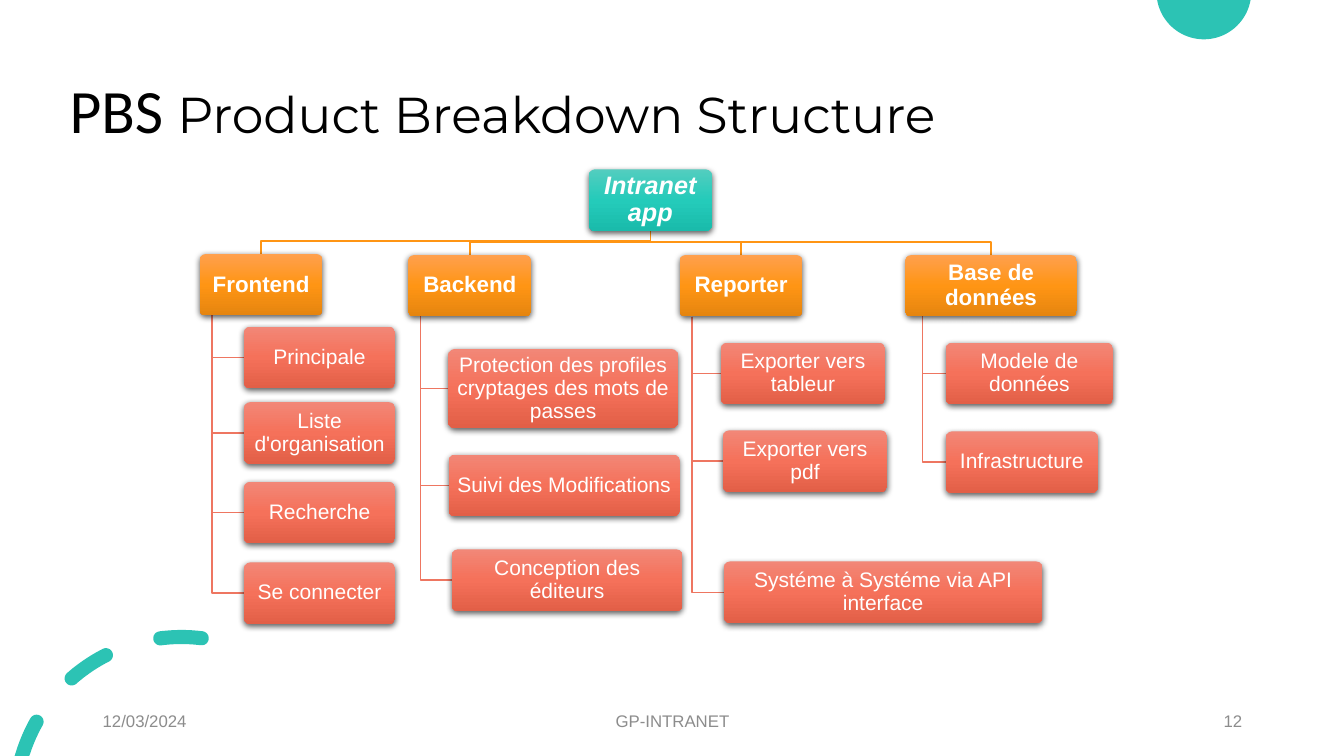
import math

import pptx
import pptx.util
import pptx.dml.color
import pptx.enum.shapes
import pptx.enum.text
import pptx.oxml
import pptx.oxml.ns
from pptx.util import Inches

TEAL, ORANGE, CORAL = "2CC3B4", "FF9514", "EE7661"
ALIGN = pptx.enum.text.PP_ALIGN
MIDDLE = pptx.enum.text.MSO_ANCHOR.MIDDLE
ROOT_STYLE = {"stops": ("53CDBF", "24CBBA", "1ABBAB"),
              "font": {"size": pptx.util.Pt(18), "bold": True, "italic": True}}
BRANCH_STYLE = {"stops": ("FFA04E", "FF9514", "E5850F"),
                "font": {"size": pptx.util.Pt(16), "bold": True}}
LEAF_STYLE = {"stops": ("F28777", "F5715A", "E25F47"),
              "font": {"size": pptx.util.Pt(15)}}

presentation = pptx.Presentation()
presentation.slide_width = Inches(13.33)
presentation.slide_height = Inches(7.5)
slide = presentation.slides.add_slide(presentation.slide_layouts[5])


def color(hex_string):
    return pptx.dml.color.RGBColor.from_string(hex_string)


def draw_path(points, hex_string, closed):
    """Draw a filled outline when closed, otherwise a thin open line."""
    corners = [(Inches(x), Inches(y)) for x, y in points]
    builder = slide.shapes.build_freeform(*corners[0])
    builder.add_line_segments(corners[1:], close=closed)
    shape = builder.convert_to_shape()
    shape.shadow.inherit = False
    if closed:
        shape.fill.solid()
        shape.fill.fore_color.rgb = color(hex_string)
        shape.line.fill.background()
    else:
        shape.fill.background()
        shape.line.color.rgb = color(hex_string)
        shape.line.width = pptx.util.Pt(1)


# Circle cut off by the top edge
circle = []
for step in range(41):
    angle = math.radians(9.8 + 160.4 * step / 40)
    circle.append((11.94 + 0.47 * math.cos(angle), -0.08 + 0.47 * math.sin(angle)))
draw_path(circle, TEAL, True)

# Dashes with round ends along one arc, cut off by the bottom edge
center_x, center_y, radius, half_width = 1.8, 7.97, 1.65, 0.07
for start, end in ((83, 97.3), (117, 131.3), (150.6, 164.1)):
    dash = []
    for first, last, side in ((start, end, 1), (end, start, -1)):
        for step in range(13):
            angle = math.radians(first + (last - first) * step / 12)
            distance = radius + side * half_width
            dash.append((center_x + distance * math.cos(angle),
                         center_y - distance * math.sin(angle)))
        tip = math.radians(last)
        for step in range(1, 12):
            turn = tip + side * math.pi * step / 12 + (0 if side == 1 else math.pi)
            if side == -1:
                turn = tip + math.pi + math.pi * step / 12
            dash.append((center_x + radius * math.cos(tip) + half_width * math.cos(turn),
                         center_y - radius * math.sin(tip) - half_width * math.sin(turn)))
    draw_path([(x, min(y, 7.5)) for x, y in dash], TEAL, True)

# Title
title = slide.shapes.title
title.left, title.top, title.width, title.height = map(Inches, (0.59, 0.4, 11.5, 1.45))
title.text_frame.word_wrap = True
title.text_frame.vertical_anchor = MIDDLE
paragraph = title.text_frame.paragraphs[0]
paragraph.alignment = ALIGN.LEFT
paragraph.line_spacing = 0.9
for text, size, name in (("PBS ", 44, "Calibri"),
                         ("Product Breakdown Structure", 36, "Montserrat")):
    run = paragraph.add_run()
    run.text = text
    run.font.name = name
    run.font.size = pptx.util.Pt(size)
    run.font.color.rgb = color("000000")

# Footer
for text, left, width, alignment in (("12/03/2024", 0.92, 3, ALIGN.LEFT),
                                     ("GP-INTRANET", 4.42, 4.5, ALIGN.CENTER),
                                     ("12", 9.42, 3, ALIGN.RIGHT)):
    footer = slide.shapes.add_textbox(Inches(left), Inches(6.95), Inches(width), Inches(0.4))
    footer.text_frame.word_wrap = True
    footer.text_frame.vertical_anchor = MIDDLE
    paragraph = footer.text_frame.paragraphs[0]
    paragraph.text = text
    paragraph.alignment = alignment
    paragraph.font.name = "Arial"
    paragraph.font.size = pptx.util.Pt(12)
    paragraph.font.color.rgb = color("8C8C8C")

# Tree: each box is text, left, top, width, height
root = ("Intranet app", 5.84, 1.68, 1.22, 0.61)
tree = [
    (("Frontend", 1.98, 2.52, 1.22, 0.61), [
        ("Principale", 2.42, 3.24, 1.5, 0.61),
        ("Liste d'organisation", 2.42, 3.99, 1.5, 0.61),
        ("Recherche", 2.42, 4.78, 1.5, 0.61),
        ("Se connecter", 2.42, 5.58, 1.5, 0.61)]),
    (("Backend", 4.05, 2.53, 1.22, 0.61), [
        ("Protection des profiles cryptages des mots de passes", 4.44, 3.46, 2.29, 0.79),
        ("Suivi des Modifications", 4.45, 4.51, 2.29, 0.61),
        ("Conception des éditeurs", 4.48, 5.45, 2.29, 0.61)]),
    (("Reporter", 6.74, 2.53, 1.22, 0.61), [
        ("Exporter vers tableur", 7.15, 3.4, 1.63, 0.61),
        ("Exporter vers pdf", 7.17, 4.27, 1.63, 0.61),
        ("Systéme à Systéme via API interface", 7.18, 5.57, 3.16, 0.61)]),
    (("Base de données", 8.98, 2.53, 1.7, 0.61), [
        ("Modele de données", 9.38, 3.4, 1.66, 0.61),
        ("Infrastructure", 9.38, 4.28, 1.51, 0.61)]),
]

# Elbow lines behind the boxes
root_x, root_bottom = root[1] + root[3] / 2, root[2] + root[4]
boxes = [(root, ROOT_STYLE)]
for branch, leaves in tree:
    text, left, top, width, height = branch
    branch_x, bus_y = left + width / 2, top - 0.13
    draw_path([(root_x, root_bottom), (root_x, bus_y), (branch_x, bus_y), (branch_x, top)],
              ORANGE, False)
    boxes.append((branch, BRANCH_STYLE))
    trunk_x = left + width / 10
    for leaf in leaves:
        leaf_y = leaf[2] + leaf[4] / 2
        draw_path([(trunk_x, top + height), (trunk_x, leaf_y), (leaf[1], leaf_y)], CORAL, False)
        boxes.append((leaf, LEAF_STYLE))

# Boxes with gradient and soft shadow
namespace = pptx.oxml.ns.nsdecls("a")
for (text, *place), style in boxes:
    shape = slide.shapes.add_shape(pptx.enum.shapes.MSO_SHAPE.ROUNDED_RECTANGLE,
                                   *map(Inches, place))
    shape.adjustments[0] = 0.1
    shape.line.fill.background()
    shape.fill.gradient()
    shape.fill.gradient_angle = 270
    properties = shape._element.spPr
    stop_list = properties.find(".//" + pptx.oxml.ns.qn("a:gsLst"))
    for stop in list(stop_list):
        stop_list.remove(stop)
    for index, hex_string in enumerate(style["stops"]):
        stop_list.append(pptx.oxml.parse_xml(
            f'<a:gs {namespace} pos="{index * 50000}"><a:srgbClr val="{hex_string}"/></a:gs>'))
    shape.shadow.inherit = False
    properties.find(pptx.oxml.ns.qn("a:effectLst")).append(pptx.oxml.parse_xml(
        f'<a:outerShdw {namespace} blurRad="57150" dist="19050" dir="5400000" algn="ctr" '
        'rotWithShape="0"><a:srgbClr val="000000"><a:alpha val="63000"/></a:srgbClr>'
        '</a:outerShdw>'))
    frame = shape.text_frame
    frame_format = {"word_wrap": True, "vertical_anchor": MIDDLE}
    for side in ("left", "top", "right", "bottom"):
        frame_format["margin_" + side] = Inches(0.02)
    for name, value in frame_format.items():
        setattr(frame, name, value)
    paragraph = frame.paragraphs[0]
    paragraph.text = text
    paragraph.alignment = ALIGN.CENTER
    paragraph.line_spacing = 0.9
    for name, value in {"name": "Arial", **style["font"]}.items():
        setattr(paragraph.font, name, value)
    paragraph.font.color.rgb = color("FFFFFF")

presentation.save("out.pptx")
